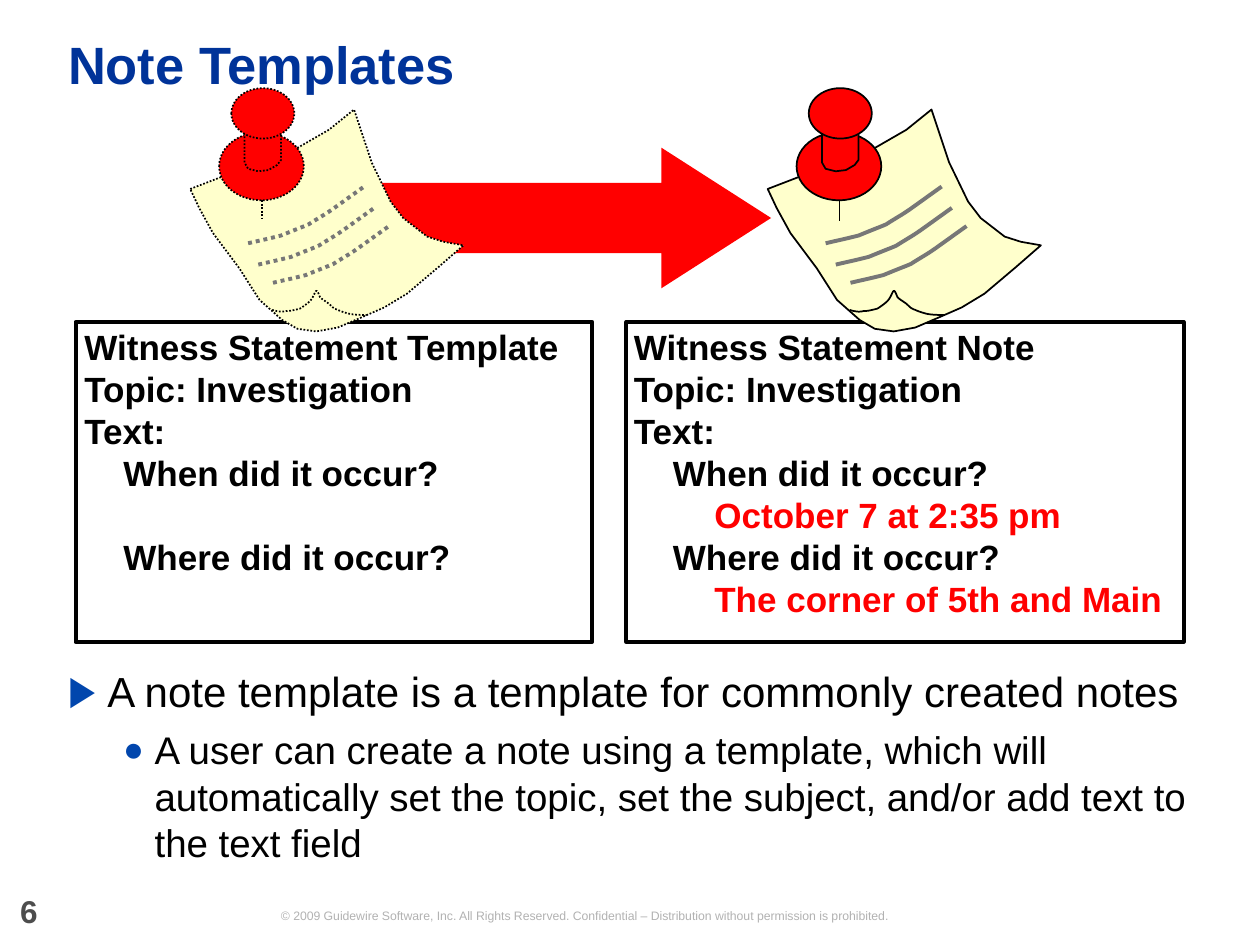
from lxml import etree
from pptx import Presentation
from pptx import util as u
from pptx.dml.color import RGBColor
from pptx.enum import dml, shapes, text
from pptx.oxml.ns import qn

BLACK = RGBColor(0x00, 0x00, 0x00)
RED = RGBColor(0xFF, 0x00, 0x00)
BLUE = RGBColor(0x00, 0x33, 0x99)
PAPER = RGBColor(0xFF, 0xFF, 0xCC)
RULE_GRAY = RGBColor(0x77, 0x77, 0x77)
NUMBER_GRAY = RGBColor(0x4D, 0x4D, 0x4D)
FOOTER_GRAY = RGBColor(0xB2, 0xB2, 0xB2)

SHEET = [(108.7, 108), (170.6, 84.2), (187.9, 74.2), (202.3, 62.6), (212.4, 92.9),
         (223.2, 115.2), (230.4, 124.6), (244.1, 135.2), (253.4, 138.2),
         (264.8, 140.2), (250.6, 152.6), (232.6, 167.8), (219.6, 175.7),
         (206.6, 181.4), (193, 187.2), (180.7, 189.4), (169.9, 187.9),
         (161.3, 182.9), (148.3, 171.4), (136.8, 153.4), (121.7, 133.2),
         (113.8, 118.8)]
PIN_NECK = [(139.7, 72), (139.7, 92.9), (141.8, 96.5), (147.6, 97.9),
            (153.4, 97.2), (158.4, 94.3), (160.6, 91.4), (160.6, 69.8)]
WRITING = [(141.8, 139), (148.3, 137.5), (154.8, 136.1), (160.6, 134.6),
           (165.6, 132.5), (171.4, 130.3), (176.4, 128.2), (180.7, 125.3),
           (185, 123.1), (190.1, 119.5), (195.1, 115.9), (205.2, 108.7),
           (208.1, 106.6)]
WRITING_SHIFTS = [(0, 0), (5.8, 12.2), (14.2, 22.6)]
CURL = [(155.5, 177.1), (157.7, 177.8), (160.6, 178.6), (163.4, 177.8),
        (166.3, 177.8), (168.5, 177.1), (171.4, 176.4), (173.5, 175),
        (175.7, 173.5), (177.1, 172.1), (179.3, 169.9), (180, 166.3),
        (180.7, 166.3), (181.4, 165.6), (182.2, 168.5), (182.9, 169.9),
        (184.3, 171.4), (187.2, 172.8), (188.6, 174.2), (190.1, 175.7),
        (190.8, 176.4), (193, 177.1), (194.4, 177.8), (196.6, 178.6),
        (199.4, 179.3), (202.3, 180), (205.9, 180), (209.5, 180)]


def format_line(line, color, width, dotted=False):
    line.color.rgb = color
    line.width = u.Pt(width)
    if dotted:
        line.dash_style = dml.MSO_LINE.ROUND_DOT


def format_shape(sp, fill=None, line=None, width=1, dotted=False):
    sp.shadow.inherit = False
    if fill is None:
        sp.fill.background()
    else:
        sp.fill.solid()
        sp.fill.fore_color.rgb = fill
    if line is None:
        sp.line.fill.background()
    else:
        format_line(sp.line, line, width, dotted)


def add_preset(parent, kind, box, **style):
    sp = parent.add_shape(kind, *map(u.Pt, box))
    format_shape(sp, **style)
    return sp


def add_outline(parent, points, close=False, **style):
    start, *rest = [(u.Pt(x), u.Pt(y)) for x, y in points]
    fb = parent.build_freeform(*start)
    fb.add_line_segments(rest, close=close)
    format_shape(fb.convert_to_shape(), **style)


def add_stem(parent, x, top, bottom, dotted):
    cx = parent.add_connector(shapes.MSO_CONNECTOR.STRAIGHT,
                              u.Pt(x), u.Pt(top), u.Pt(x), u.Pt(bottom))
    format_line(cx.line, BLACK, 1, dotted)
    etree.SubElement(cx._element.spPr, qn("a:effectLst"))


def curve(points, steps=6):
    result = [points[0]]
    for i in range(0, len(points) - 1, 3):
        for t in (n / steps for n in range(1, steps + 1)):
            weights = ((1 - t) ** 3, 3 * t * (1 - t) ** 2, 3 * t * t * (1 - t), t ** 3)
            result.append(tuple(sum(w * pt[axis] for w, pt in zip(weights, points[i:i + 4]))
                                for axis in (0, 1)))
    return result


def shifted(points, dx, dy=0):
    return [(x + dx, y + dy) for x, y in points]


def add_pinned_note(slide, dx, dotted):
    parent = slide.shapes.add_group_shape().shapes
    pin = dict(fill=RED, line=BLACK, dotted=dotted)
    oval = shapes.MSO_SHAPE.OVAL
    add_outline(parent, shifted(SHEET, dx), True, fill=PAPER, line=BLACK, dotted=dotted)
    add_preset(parent, oval, (125.2 + dx, 75.6, 48.4, 38.9), **pin)
    add_outline(parent, shifted(PIN_NECK, dx), True, **pin)
    add_stem(parent, 149.7 + dx, 114.5, 126, dotted)
    for x, y in WRITING_SHIFTS:
        add_outline(parent, curve(shifted(WRITING, dx + x, y)),
                    line=RULE_GRAY, width=2.25, dotted=dotted)
    add_outline(parent, curve(shifted(CURL, dx)), line=BLACK, dotted=dotted)
    add_preset(parent, oval, (132.2 + dx, 50.4, 36, 28.8), **pin)


def set_frame(sp, box, anchor=text.MSO_ANCHOR.TOP):
    sp.left, sp.top, sp.width, sp.height = map(u.Pt, box)
    tf = sp.text_frame
    tf.word_wrap = True
    tf.auto_size = text.MSO_AUTO_SIZE.NONE
    tf.vertical_anchor = anchor
    tf.margin_left = tf.margin_top = tf.margin_right = tf.margin_bottom = 0
    return tf


def add_frame(slide, box, **kwargs):
    return set_frame(slide.shapes.add_textbox(0, 0, 0, 0), box, **kwargs)


def add_text(tf, content, size, color=BLACK, bold=False, align=text.PP_ALIGN.LEFT,
             spacing=None, before=0, left=0, hanging=0, bullet=None, bullet_size=100):
    first = tf.paragraphs[0]
    p = tf.add_paragraph() if first.runs else first
    pPr = p._p.get_or_add_pPr()
    pPr.set("marL", str(u.Pt(left)))
    pPr.set("indent", str(-u.Pt(hanging)))
    if bullet:
        clr = etree.SubElement(pPr, qn("a:buClr"))
        etree.SubElement(clr, qn("a:srgbClr"), val="0146AD")
        etree.SubElement(pPr, qn("a:buSzPct"), val=str(bullet_size * 1000))
        etree.SubElement(pPr, qn("a:buFont"), typeface="Arial")
        etree.SubElement(pPr, qn("a:buChar"), char=bullet)
    p.alignment = align
    p.space_before = u.Pt(before)
    if spacing:
        p.line_spacing = spacing
    r = p.add_run()
    r.text = content
    r.font.name = "Arial"
    r.font.size = u.Pt(size)
    r.font.bold = bold
    r.font.color.rgb = color


def add_statement(slide, box, lines):
    tf = add_frame(slide, box)
    for content, left, style in lines:
        add_text(tf, content, 20, bold=True, spacing=u.Pt(24), left=left, **style)


def main():
    prs = Presentation()
    prs.slide_width, prs.slide_height = u.Pt(720), u.Pt(540)
    slide = prs.slides.add_slide(prs.slide_layouts[5])
    middle = text.MSO_ANCHOR.MIDDLE

    add_text(add_frame(slide, (85.7, 519.1, 496.8, 8.6), anchor=middle),
             "© 2009 Guidewire Software, Inc. All Rights Reserved. Confidential – "
             "Distribution without permission is prohibited.",
             7, FOOTER_GRAY, align=text.PP_ALIGN.CENTER)
    add_text(add_frame(slide, (11.5, 513.4, 41, 18)), "6", 18, NUMBER_GRAY, True,
             spacing=u.Pt(18))

    arrow = add_preset(slide.shapes, shapes.MSO_SHAPE.RIGHT_ARROW,
                       (190, 84.4, 250.6, 80.4), fill=RED)
    arrow.adjustments[0], arrow.adjustments[1] = 0.5, 0.78

    add_text(set_frame(slide.shapes.title, (38.9, 9.4, 655.2, 58.3), middle),
             "Note Templates", 30, BLUE, True, spacing=0.9)

    body = add_frame(slide, (38.9, 380.2, 655.2, 130))
    add_text(body, "A note template is a template for commonly created notes", 24,
             spacing=u.Pt(29), left=22.5, hanging=22.5, bullet="▶")
    add_text(body, "A user can create a note using a template, which will automatically "
             "set the topic, set the subject, and/or add text to the text field", 22,
             spacing=u.Pt(26.6), before=5.5, left=49.5, hanging=18,
             bullet="●", bullet_size=90)

    when, where = "When did it occur?", "Where did it occur?"
    add_statement(slide, (48.2, 185.8, 290, 168), [
        ("Witness Statement Template", 0, {}), ("Topic: Investigation", 0, {}),
        ("Text:", 0, {}), (when, 22.3, {}), (where, 22.3, {"before": 24})])
    add_statement(slide, (362.2, 185.8, 314, 168), [
        ("Witness Statement Note", 0, {}), ("Topic: Investigation", 0, {}),
        ("Text:", 0, {}), (when, 22.3, {}),
        ("October 7 at 2:35 pm", 46, {"color": RED}), (where, 22.3, {}),
        ("The corner of 5th and Main", 46, {"color": RED})])
    for left, width in ((43.2, 295.2), (358, 318.4)):
        add_preset(slide.shapes, shapes.MSO_SHAPE.RECTANGLE,
                   (left, 184, width, 182.9), line=BLACK, width=2.25)

    for dx, dotted in ((0, True), (330, False)):
        add_pinned_note(slide, dx, dotted)
    prs.save("out.pptx")


if __name__ == "__main__":
    main()
